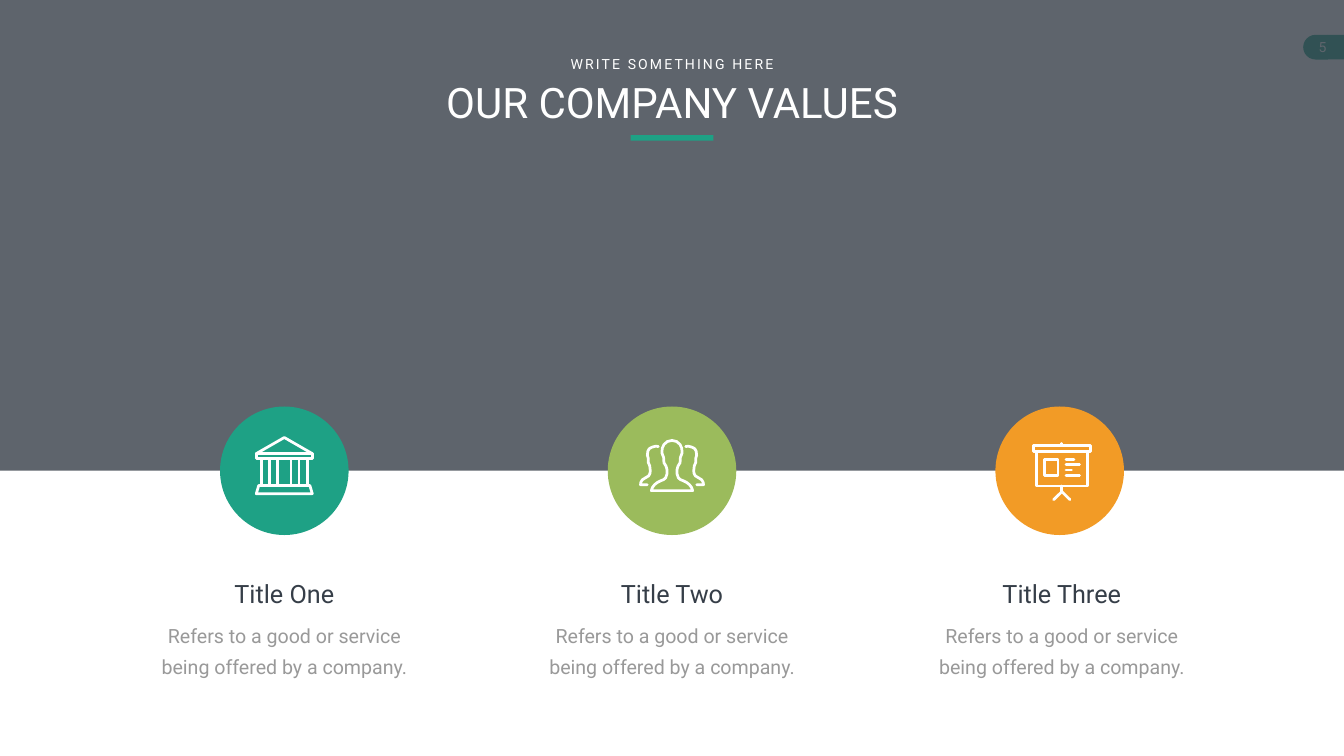
from pptx import Presentation
from pptx.dml.color import RGBColor
from pptx.enum.shapes import MSO_SHAPE as Preset
from pptx.enum.text import MSO_ANCHOR as Anchor, PP_ALIGN as Align
from pptx.oxml.ns import qn
from pptx.util import Pt
from lxml.etree import SubElement

WIDTH, HEIGHT = 1919.52, 1080
CENTER = WIDTH / 2
BANNER_HEIGHT = 672.5
COLUMN_STEP = 553.7
CIRCLE = 183.6

WHITE = RGBColor(0xFF, 0xFF, 0xFF)
TEAL = RGBColor(0x1E, 0xA1, 0x85)
GREEN = RGBColor(0x9B, 0xBB, 0x5C)
ORANGE = RGBColor(0xF2, 0x9B, 0x26)
SLATE = RGBColor(0x36, 0x3E, 0x48)
GRAY = RGBColor(0x99, 0x99, 0x99)


def box(left, top, right, bottom):
    return [(left, top), (right, top), (right, bottom), (left, bottom)], True


def line(*points):
    return list(points), False


def mirror(points):
    return [(-x, y) for x, y in points]


# Icon strokes are (points, closed) pairs, measured from the circle's centre.
BANK = [
    ([(-40, -24.5), (0, -47.5), (40, -24.5)], True),
    box(-40, -24.5, 40, -17),
    ([(-36.5, 21), (36.5, 21), (40, 32.8), (-40, 32.8)], True),
] + [line((x, -17), (x, 21)) for x in (-32.8, -21.2, -9.7, 9.7, 21.2, 32.8)]

FRONT_HALF = [
    (0, -43.3), (6.5, -41.8), (11.5, -37.5), (14, -32), (14.3, -25),
    (12, -19), (11.5, -11.5), (8.5, -6.5), (7, -1), (7, 4), (9, 10),
    (12, 12.7), (16, 14.3), (21, 16.8), (25, 20), (28, 24), (29.5, 28.4),
]
BACK_PERSON = [
    (19.5, -34.5), (23, -35.2), (29, -33.5), (32.5, -31.5), (34.5, -28),
    (35.2, -22), (33.8, -17.5), (34, -12), (31.8, -7), (31, 0), (31.5, 4),
    (33.5, 7.5), (37, 9.5), (42.5, 13), (44.5, 16.5), (45, 20), (35.5, 20),
]
PEOPLE = [
    (FRONT_HALF + mirror(FRONT_HALF)[:0:-1], True),
    (BACK_PERSON, False),
    (mirror(BACK_PERSON), False),
]

BOARD = [
    box(-37.4, -35.6, 43.6, -27.7),
    box(-33.5, -27.7, 39.6, 22),
    box(-22, -16.2, -2.5, 6.8),
    line((3.1, -39), (3.1, -36)),
    line((3.1, 22), (3.1, 29.9)),
    line((-8.6, 41.4), (3.1, 29.9), (14.8, 41.4)),
] + [line((9, -16.2 + 7.65 * row), (end, -16.2 + 7.65 * row))
     for row, end in enumerate((20.5, 28.4, 16.9, 28.4))]

COLUMNS = [
    ("Title One", TEAL, BANK, 0),
    ("Title Two", GREEN, PEOPLE, 0),
    ("Title Three", ORANGE, BOARD, 3),
]
DESCRIPTION = "Refers to a good or service being offered by a company."


class SlideBuilder:
    font_name = "Roboto"
    icon_line = 3.9

    def __init__(self, slide):
        self.slide = slide

    def shape(self, preset, left, top, width, height, color, opacity=None):
        shape = self.slide.shapes.add_shape(
            preset, Pt(left), Pt(top), Pt(width), Pt(height))
        shape.shadow.inherit = False
        shape.line.fill.background()
        shape.fill.solid()
        shape.fill.fore_color.rgb = color
        if opacity is not None:
            fill_color = shape.element.spPr.find(".//" + qn("a:srgbClr"))
            SubElement(fill_color, qn("a:alpha"), val=str(opacity * 1000))
        return shape

    def text(self, text, center, top, width, height, size, color,
             insets=(7.2, 3.6), spacing=None, tracking=None, wrap=True):
        """Add a centred text box; tracking is the letter spacing in points."""
        shape = self.slide.shapes.add_textbox(
            Pt(center - width / 2), Pt(top), Pt(width), Pt(height))
        frame = shape.text_frame
        frame.word_wrap = wrap
        frame.vertical_anchor = Anchor.TOP
        frame.margin_left = frame.margin_right = Pt(insets[0])
        frame.margin_top = frame.margin_bottom = Pt(insets[1])
        paragraph = frame.paragraphs[0]
        paragraph.alignment = Align.CENTER
        if spacing:
            paragraph.line_spacing = Pt(spacing)
        run = paragraph.add_run()
        run.text = text
        paragraph.font.name = self.font_name
        paragraph.font.size = Pt(size)
        paragraph.font.color.rgb = color
        if tracking:
            run._r.get_or_add_rPr().set("spc", str(tracking * 100))

    def icon(self, strokes, center_x, center_y):
        """Draw all strokes of an icon as one round-ended outline."""
        builder = None
        for points, closed in strokes:
            start, *rest = [(Pt(center_x + x), Pt(center_y + y))
                            for x, y in points]
            if builder is None:
                builder = self.slide.shapes.build_freeform(*start)
            else:
                builder.move_to(*start)
            builder.add_line_segments(rest, close=closed)
        shape = builder.convert_to_shape()
        shape.shadow.inherit = False
        shape.fill.background()
        shape.line.color.rgb = WHITE
        shape.line.width = Pt(self.icon_line)
        outline = shape.element.spPr.find(qn("a:ln"))
        outline.set("cap", "rnd")
        SubElement(outline, qn("a:round"))


def main():
    presentation = Presentation()
    presentation.slide_width = Pt(WIDTH)
    presentation.slide_height = Pt(HEIGHT)
    builder = SlideBuilder(
        presentation.slides.add_slide(presentation.slide_layouts[6]))

    # The page tab lies under the translucent banner.
    tab = builder.shape(Preset.FLOWCHART_DELAY, 1861.2, 49.7, 35.3, 35.3, TEAL)
    tab.rotation = 180
    builder.shape(Preset.RECTANGLE, 1896.5, 49.7, WIDTH - 1896.5, 35.3, TEAL)
    builder.text("5", 1889, 52, 40, 32, 20, WHITE)
    builder.shape(Preset.RECTANGLE, 0, 0, WIDTH, BANNER_HEIGHT, SLATE, 80)

    builder.shape(Preset.RECTANGLE, CENTER - 59, 193, 118, 8, TEAL)
    builder.text("OUR COMPANY VALUES", CENTER, 105.8, 817.2, 80, 60, WHITE)
    builder.text("WRITE SOMETHING HERE", CENTER, 75.6, 313.2, 31.7, 20, WHITE,
                 tracking=3, wrap=False)

    for index, (title, color, strokes, text_shift) in enumerate(COLUMNS):
        center = CENTER + (index - 1) * COLUMN_STEP
        builder.shape(Preset.OVAL, center - CIRCLE / 2,
                      BANNER_HEIGHT - CIRCLE / 2, CIRCLE, CIRCLE, color)
        builder.icon(strokes, center, BANNER_HEIGHT)
        text_center = center + text_shift
        builder.text(DESCRIPTION, text_center, 874, 396, 100, 28, GRAY,
                     insets=(17.3, 8.6), spacing=43)
        builder.text(title, text_center, 823, 361.4, 51, 36, SLATE)

    presentation.save("out.pptx")


if __name__ == "__main__":
    main()
